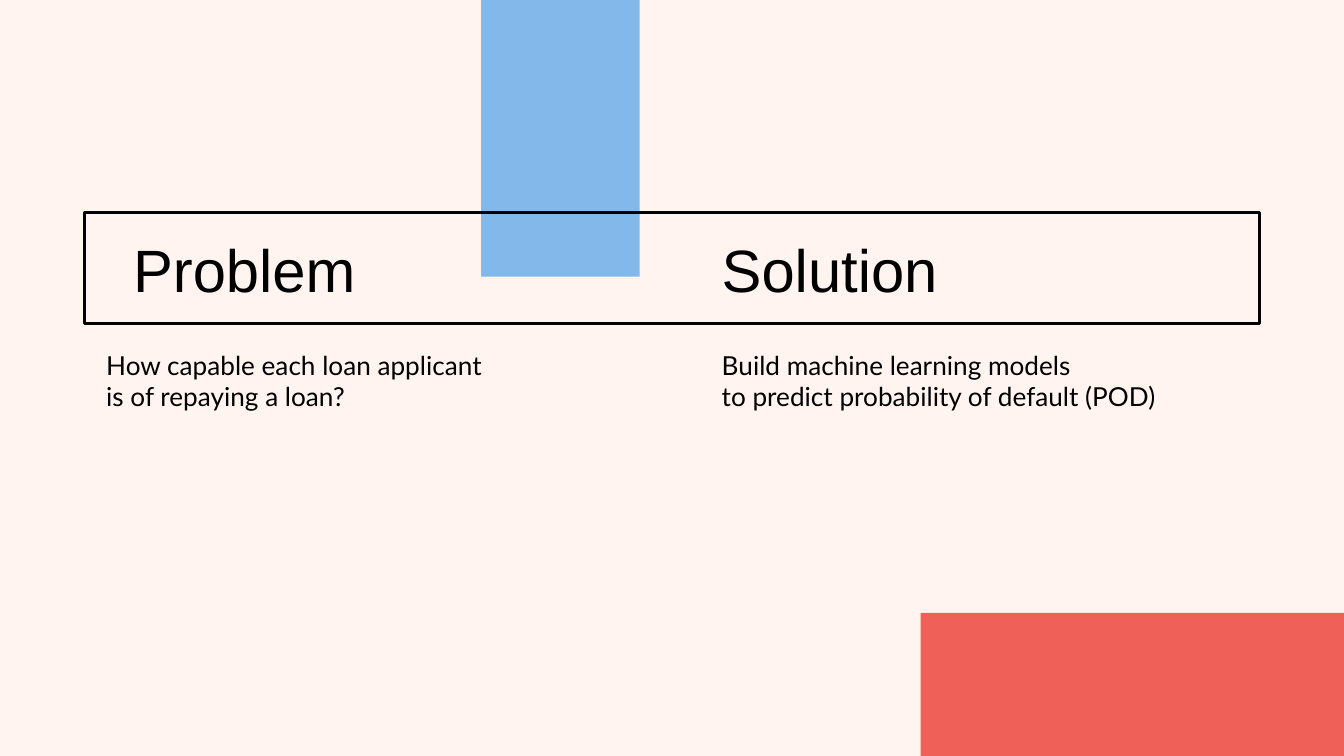
from pptx import Presentation
from pptx.dml.color import RGBColor
from pptx.enum.shapes import MSO_SHAPE
from pptx.enum.text import MSO_ANCHOR, MSO_AUTO_SIZE, PP_ALIGN
from pptx.util import Inches, Pt
from lxml.etree import SubElement
from pptx.oxml.ns import qn

WIDTH = 10
HEIGHT = WIDTH * 9 / 16
COLORS = {"background": "FFF4EF", "red": "EF6058", "blue": "83B9EA", "ink": "000000"}

RIGHT_COLUMN = 5.27
HEADING_TOP, HEADING_WIDTH, HEADING_HEIGHT = 1.82, 3.83, 0.35
BODY_TOP, BODY_HEIGHT = 2.5, 1.41

COLUMNS = [
    {
        "heading": "Problem",
        "heading_left": 0.89,
        "body": ["How capable each loan applicant", "is of repaying a loan?"],
        "body_left": 0.69,
        "body_width": 3.48,
    },
    {
        "heading": "Solution",
        "heading_left": RIGHT_COLUMN,
        "body": ["Build machine learning models", "to predict probability of default (POD)"],
        "body_left": RIGHT_COLUMN,
        "body_width": 4.1,
    },
]

RECTANGLES = [
    {"area": (6.85, 4.56, 3.15, 1.08), "fill": "red"},
    {"area": (3.58, 0, 1.18, 2.06), "fill": "blue"},
    {"area": (0.63, 1.58, WIDTH - 2 * 0.63, 0.83), "line": "ink"},
]


def color(name):
    return RGBColor.from_string(COLORS[name])


def place(shape, area):
    shape.left, shape.top, shape.width, shape.height = map(Inches, area)


def add_rectangle(page, area, fill=None, line=None):
    shape = page.shapes.add_shape(MSO_SHAPE.RECTANGLE, *map(Inches, area))
    shape.shadow.inherit = False
    if fill:
        shape.fill.solid()
        shape.fill.fore_color.rgb = color(fill)
    else:
        shape.fill.background()
    if line:
        shape.line.color.rgb = color(line)
        shape.line.width = Pt(1.5)
    else:
        shape.line.fill.background()
    return shape


def fill_text(box, area, lines, font, size, anchor):
    place(box, area)
    frame = box.text_frame
    frame.text = "\n".join(lines)
    frame.word_wrap = True
    frame.auto_size = MSO_AUTO_SIZE.NONE
    frame.vertical_anchor = anchor
    frame.margin_left = frame.margin_right = Inches(0.1)
    frame.margin_top = frame.margin_bottom = Inches(0.1)
    for para in frame.paragraphs:
        para.alignment = PP_ALIGN.LEFT
        para.line_spacing = 1.0
        para.space_before = para.space_after = Pt(0)
        para.font.name = font
        para.font.size = Pt(size)
        para.font.bold = False
        para.font.color.rgb = color("ink")
        properties = para._p.get_or_add_pPr()
        properties.set("marL", "0")
        properties.set("indent", "0")
        bullet = SubElement(properties, qn("a:buNone"))
        properties.find(qn("a:defRPr")).addprevious(bullet)


def main():
    deck = Presentation()
    deck.slide_width, deck.slide_height = Inches(WIDTH), Inches(HEIGHT)
    page = deck.slides.add_slide(deck.slide_layouts.get_by_name("Comparison"))
    page.background.fill.solid()
    page.background.fill.fore_color.rgb = color("background")

    title = page.shapes.title.element
    for rectangle in RECTANGLES:
        title.addprevious(add_rectangle(page, **rectangle).element)
    title.getparent().remove(title)

    boxes = list(page.placeholders)
    for column, heading, body in zip(COLUMNS, boxes[::2], boxes[1::2]):
        fill_text(
            heading,
            (column["heading_left"], HEADING_TOP, HEADING_WIDTH, HEADING_HEIGHT),
            [column["heading"]], "Arial", 32, MSO_ANCHOR.MIDDLE,
        )
        fill_text(
            body,
            (column["body_left"], BODY_TOP, column["body_width"], BODY_HEIGHT),
            column["body"], "Lato", 14, MSO_ANCHOR.TOP,
        )

    deck.save("out.pptx")


if __name__ == "__main__":
    main()
